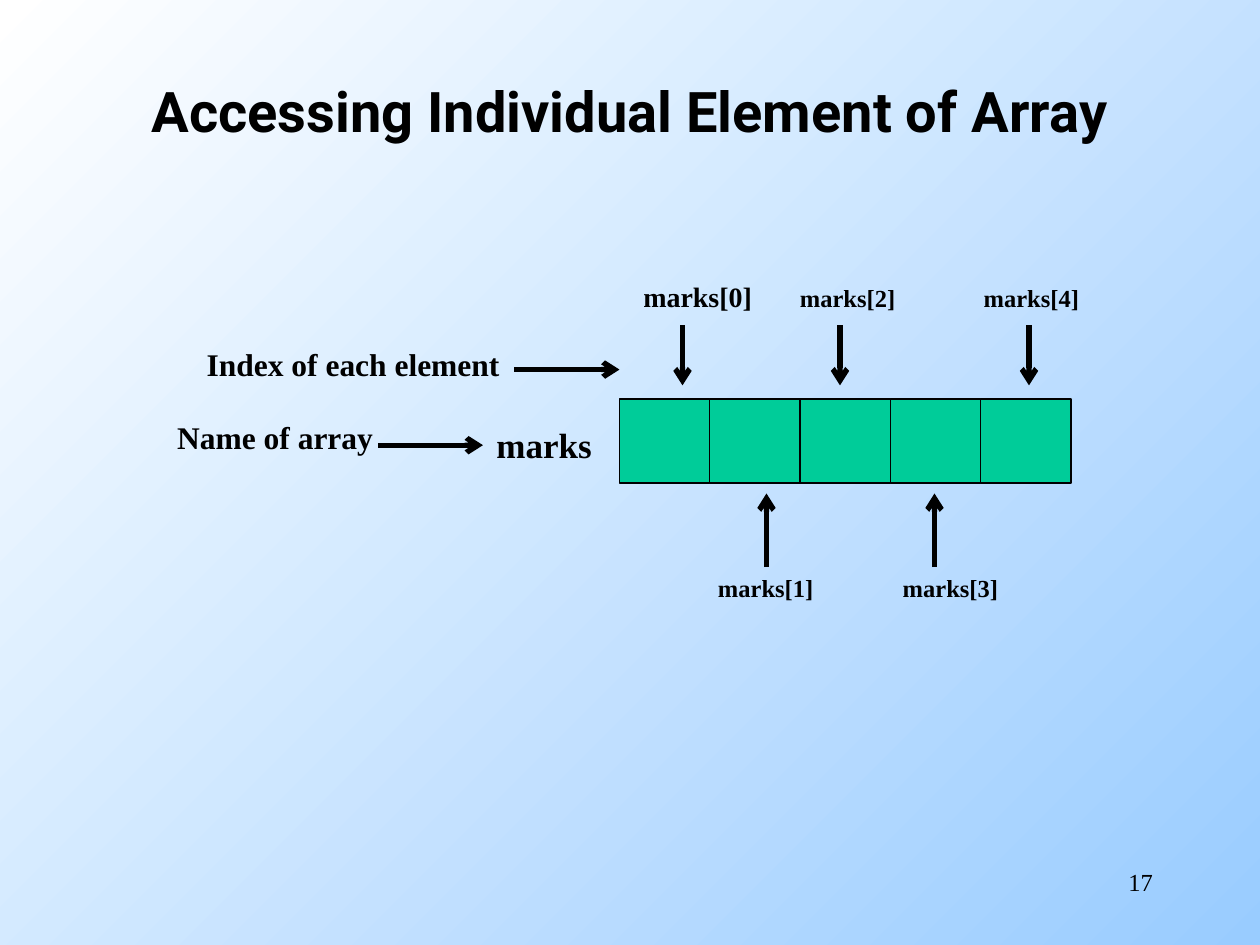
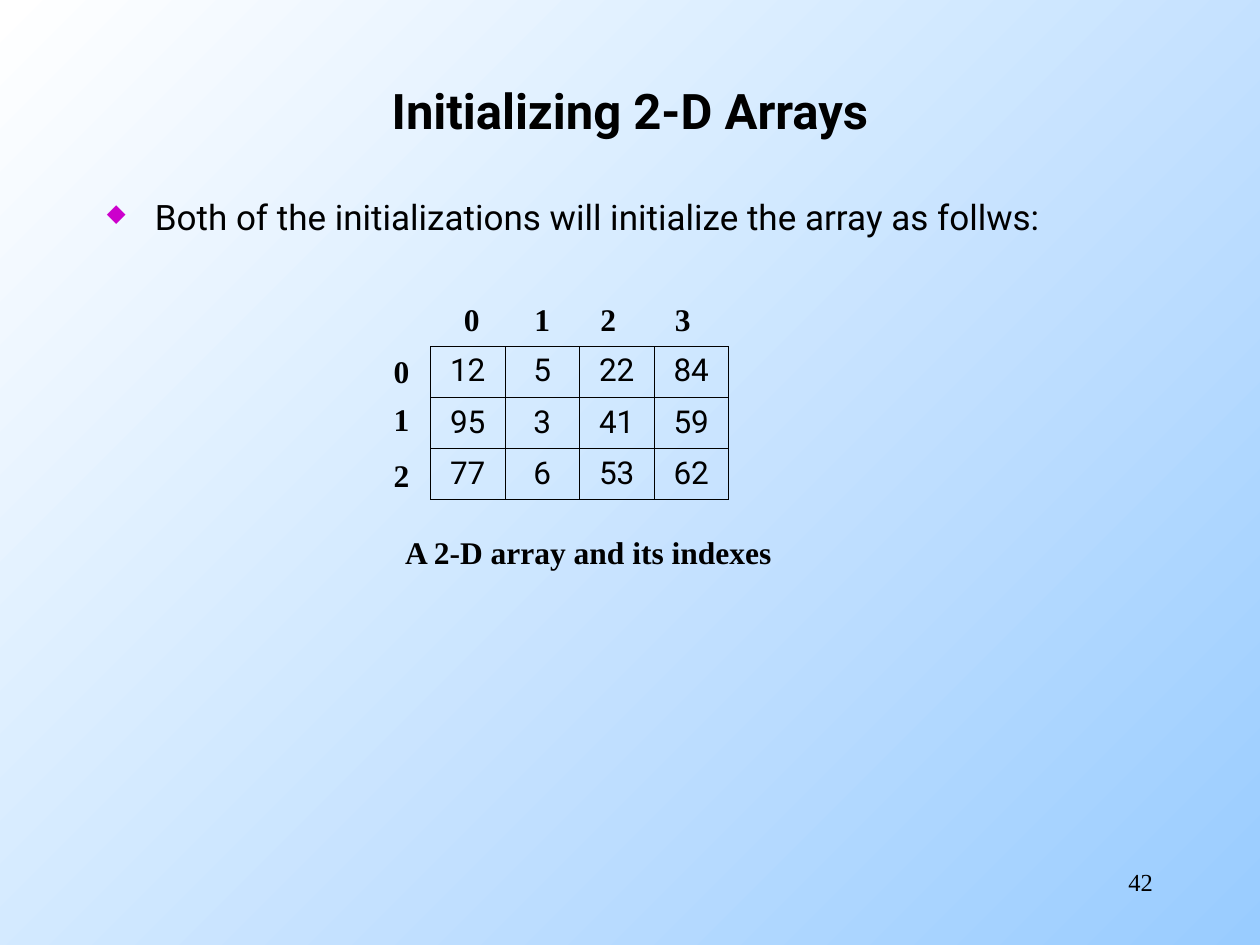
from dataclasses import dataclass

from lxml import etree
from pptx import Presentation
from pptx.dml.color import RGBColor
from pptx.enum.shapes import MSO_CONNECTOR, MSO_SHAPE
from pptx.enum.text import MSO_ANCHOR, MSO_AUTO_SIZE, PP_ALIGN
from pptx.oxml.ns import qn
from pptx.util import Inches, Pt

LEFT, CENTER, RIGHT, JUSTIFY = (PP_ALIGN.LEFT, PP_ALIGN.CENTER,
                                PP_ALIGN.RIGHT, PP_ALIGN.JUSTIFY)
MIDDLE = MSO_ANCHOR.MIDDLE
FIT_SHAPE, FIT_NONE = MSO_AUTO_SIZE.SHAPE_TO_FIT_TEXT, MSO_AUTO_SIZE.NONE
RECT, STRAIGHT = MSO_SHAPE.RECTANGLE, MSO_CONNECTOR.STRAIGHT
TITLE_ONLY = 5


@dataclass(frozen=True)
class Theme:
    ink: str = "000000"
    cell: str = "00CC99"
    bullet: str = "CC00CC"
    bg_start: str = "FFFFFF"
    bg_end: str = "99CCFF"
    sans: str = "Roboto"
    serif: str = "Times New Roman"
    title: int = 32
    title_small: int = 28
    body: int = 20
    label: int = 18
    index_large: int = 16
    small: int = 14
    arrow_line: float = 3
    cell_line: float = 0.75
    border: float = 0.45


def grid(n):
    """Length of n columns or rows; the grid has 120 columns and 90 rows."""
    return Inches(n / 12)


def rgb(value):
    return RGBColor.from_string(value)


def add_xml(parent, tag, **attrs):
    return etree.SubElement(parent, qn(tag), attrs)


def write(tf, text, *, font, size, color, bold=False, align=LEFT,
          spacing=None, bullet=None, bullet_color=None):
    p = tf.paragraphs[0]
    p.alignment = align
    if spacing:
        p.line_spacing = spacing
    if bullet:
        ppr = p._p.get_or_add_pPr()
        indent = Inches(0.38)
        ppr.set("marL", str(indent))
        ppr.set("indent", str(-indent))
        add_xml(add_xml(ppr, "a:buClr"), "a:srgbClr", val=bullet_color)
        add_xml(ppr, "a:buSzPct", val="70000")
        add_xml(ppr, "a:buChar", char=bullet)
    r = p.add_run()
    r.text = text
    r.font.name, r.font.size, r.font.bold = font, Pt(size), bold
    r.font.color.rgb = rgb(color)


class Deck:
    def __init__(self, theme):
        self.theme = theme
        self.s = None
        self.prs = Presentation()
        self.prs.slide_width, self.prs.slide_height = grid(120), grid(90)
        # Shared gradient, from top left to bottom right
        fill = self.prs.slide_master.background.fill
        fill.gradient()
        fill.gradient_angle = 315
        for stop, color in zip(fill.gradient_stops,
                               (theme.bg_start, theme.bg_end)):
            stop.color.rgb = rgb(color)

    def slide(self, title, size, number):
        """Start a slide with its title and page number."""
        t = self.theme
        self.s = self.prs.slides.add_slide(
            self.prs.slide_layouts[TITLE_ONLY])
        sp = self.s.shapes.title
        sp.left, sp.top, sp.width, sp.height = map(grid, (9, 3, 102, 15))
        tf = sp.text_frame
        tf.word_wrap, tf.auto_size, tf.vertical_anchor = True, FIT_NONE, MIDDLE
        write(tf, title, font=t.sans, size=size, color=t.ink, bold=True,
              align=CENTER)
        self.text(number, 86, 82, 25, 6, size=t.small, align=RIGHT)

    def text(self, text, x, y, w, h, wrap=True, **fmt):
        t = self.theme
        tf = self.s.shapes.add_textbox(*map(grid, (x, y, w, h))).text_frame
        tf.word_wrap = wrap
        tf.auto_size = FIT_NONE if wrap else FIT_SHAPE
        write(tf, text, **{"font": t.serif, "color": t.ink, **fmt})

    def label(self, text, x, y, w, h=4.8, size=None):
        self.text(text, x, y, w, h, wrap=False, bold=True,
                  size=size or self.theme.label)

    def box(self, x, y, w, h):
        t = self.theme
        sp = self.s.shapes.add_shape(RECT, *map(grid, (x, y, w, h)))
        sp.shadow.inherit = False
        sp.fill.solid()
        sp.fill.fore_color.rgb = rgb(t.cell)
        sp.line.color.rgb = rgb(t.ink)
        sp.line.width = Pt(t.cell_line)

    def arrow(self, x1, y1, x2, y2):
        t = self.theme
        cx = self.s.shapes.add_connector(STRAIGHT,
                                         *map(grid, (x1, y1, x2, y2)))
        cx.line.color.rgb = rgb(t.ink)
        cx.line.width = Pt(t.arrow_line)
        sppr = cx._element.spPr
        add_xml(sppr.find(qn("a:ln")), "a:tailEnd", type="arrow")
        add_xml(sppr, "a:effectLst")

    def table(self, rows, x, y, col_w, row_h):
        t = self.theme
        n_rows, n_cols = len(rows), len(rows[0])
        table = self.s.shapes.add_table(
            n_rows, n_cols, grid(x), grid(y),
            grid(col_w * n_cols), grid(row_h * n_rows)).table
        table.first_row = table.horz_banding = False
        for row, values in zip(table.rows, rows):
            row.height = grid(row_h)
            for cell, value in zip(row.cells, values):
                cell.fill.background()
                self.border(cell)
                write(cell.text_frame, str(value), font=t.sans,
                      size=t.label, color=t.ink, align=CENTER)
        for col in table.columns:
            col.width = grid(col_w)

    def border(self, cell):
        tcpr = cell._tc.get_or_add_tcPr()
        for i, side in enumerate("LRTB"):
            ln = add_xml(tcpr, f"a:ln{side}", w=str(Pt(self.theme.border)))
            add_xml(add_xml(ln, "a:solidFill"), "a:srgbClr",
                    val=self.theme.ink)
            tcpr.insert(i, ln)  # borders come before the fill


def element_access(deck):
    t = deck.theme
    deck.slide("Accessing Individual Element of Array", t.title, "17")

    # The array
    for i in range(5):
        deck.box(59 + 8.6 * i, 38, 8.6, 8)

    # Element names: even ones above the array, odd ones below
    for i, (label_x, arrow_x) in enumerate(
            [(60.1, 65), (67.2, 73), (75, 80), (84.8, 89), (92.5, 98)]):
        size = t.small if i else t.index_large
        width = 11.8 if i else 13.2
        top = 54 if i % 2 else 26.4 if i else 26
        deck.label(f"marks[{i}]", label_x, top, width, 4.1, size)
        start, end = (54, 47) if i % 2 else (31, 36.7)
        deck.arrow(arrow_x, start, arrow_x, end)

    # Captions to the left
    deck.label("marks", 46.1, 39.7, 11.8, 5.3, t.body)
    deck.label("Index of each element", 18.5, 32.3, 31.1)
    deck.arrow(49, 35.2, 59, 35.2)
    deck.label("Name of array", 15.7, 39.2, 21.6)
    deck.arrow(36, 42.4, 46, 42.4)


def two_d_arrays(deck):
    t = deck.theme
    deck.slide("Initializing 2-D Arrays", t.title_small, "42")
    deck.text("Both of the initializations will initialize the array "
              "as follws:", 9, 16, 105, 10, font=t.sans, size=t.body,
              align=JUSTIFY, spacing=1.5, bullet="◆",
              bullet_color=t.bullet)

    # Values with their column and row indexes
    deck.table([[12, 5, 22, 84], [95, 3, 41, 59], [77, 6, 53, 62]],
               41, 33, 7.1, 4.87)
    for i, x in enumerate((43, 49.7, 56, 63.1)):
        deck.label(str(i), x, 28, 4)
    for i, y in enumerate((32.9, 37.5, 42.8)):
        deck.label(str(i), 36.3, y, 4)
    deck.label("A 2-D array and its indexes", 37.4, 50.2, 37.8)


def main():
    deck = Deck(Theme())
    element_access(deck)
    two_d_arrays(deck)
    deck.prs.save("out.pptx")


if __name__ == "__main__":
    main()
